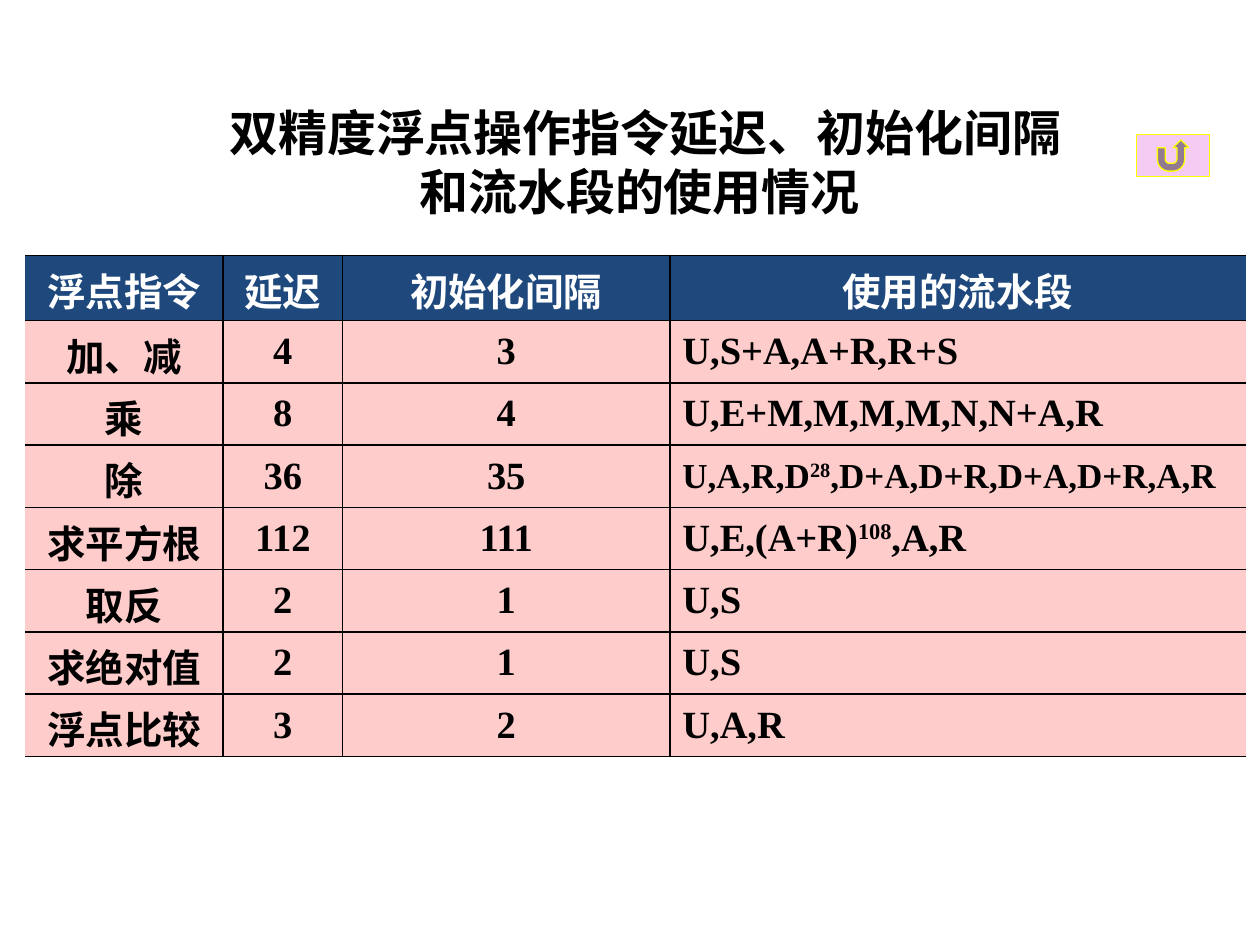
from lxml import etree
from pptx import Presentation
from pptx import util as u
from pptx.dml.color import RGBColor
from pptx.enum import shapes, text
from pptx.oxml import ns

COLORS = {"black": "000000", "white": "FFFFFF", "navy": "1F497D",
          "pink": "FFCCCC", "lilac": "F4CCF3", "yellow": "FFFF00"}
TITLE = " 双精度浮点操作指令延迟、初始化间隔和流水段的使用情况"
HEADINGS = ["浮点指令", "延迟", "初始化间隔", "使用的流水段"]
INSTRUCTIONS = [
    ("加、减", "4", "3", "U,S+A,A+R,R+S"),
    ("乘", "8", "4", "U,E+M,M,M,M,N,N+A,R"),
    ("除", "36", "35", "U,A,R,D^28^,D+A,D+R,D+A,D+R,A,R"),
    ("求平方根", "112", "111", "U,E,(A+R)^108^,A,R"),
    ("取反", "2", "1", "U,S"),
    ("求绝对值", "2", "1", "U,S"),
    ("浮点比较", "3", "2", "U,A,R"),
]
COLUMN_WIDTHS = [113, 68.4, 187, 329.2]
HEADER_HEIGHT, ROW_HEIGHT = 37.2, 35.6


def color(name):
    return RGBColor.from_string(COLORS[name])


def set_font(paragraph, name, size, color_name):
    font = paragraph.font
    font.name, font.size, font.bold = name, u.Pt(size), True
    font.color.rgb = color(color_name)


def add_title(slide):
    box = slide.shapes.add_textbox(u.Pt(110.2), u.Pt(54.7), u.Pt(510.5), u.Pt(74.2))
    frame = box.text_frame
    frame.word_wrap = True
    paragraph = frame.paragraphs[0]
    paragraph.add_run().text = TITLE
    paragraph.alignment = text.PP_ALIGN.CENTER
    paragraph.line_spacing = u.Pt(33.7)
    set_font(paragraph, "Noto Sans CJK SC", 28, "black")


def add_return_button(slide):
    button = slide.shapes.add_shape(shapes.MSO_SHAPE.ACTION_BUTTON_RETURN,
                                    u.Pt(649.4), u.Pt(77), u.Pt(41.8), u.Pt(23.8))
    button.shadow.inherit = False
    button.fill.solid()
    button.fill.fore_color.rgb = color("lilac")
    button.line.color.rgb = color("yellow")
    button.line.width = u.Pt(0.75)


def set_borders(cell, sides):
    properties = cell._tc.get_or_add_tcPr()
    for position, side in enumerate("LRTB"):
        line = etree.Element(ns.qn(f"a:ln{side}"), w=str(u.Pt(1)))
        if side in sides:
            fill = etree.SubElement(line, ns.qn("a:solidFill"))
            etree.SubElement(fill, ns.qn("a:srgbClr"), val=COLORS["black"])
        else:
            etree.SubElement(line, ns.qn("a:noFill"))
        properties.insert(position, line)


def fill_cell(cell, content, fill_name, font_color, size, alignment):
    cell.fill.solid()
    cell.fill.fore_color.rgb = color(fill_name)
    cell.vertical_anchor = text.MSO_ANCHOR.MIDDLE
    paragraph = cell.text_frame.paragraphs[0]
    paragraph.alignment = alignment
    paragraph.space_before = u.Pt(0.2 * size)
    set_font(paragraph, "Times New Roman", size, font_color)
    for index, part in enumerate(content.split("^")):
        run = paragraph.add_run()
        run.text = part
        if index % 2:
            run.font._element.set("baseline", "30000")


def add_instruction_table(slide):
    rows = [HEADINGS, *INSTRUCTIONS]
    heights = [HEADER_HEIGHT] + [ROW_HEIGHT] * len(INSTRUCTIONS)
    table = slide.shapes.add_table(len(rows), len(HEADINGS), u.Pt(14.4), u.Pt(146),
                                   u.Pt(sum(COLUMN_WIDTHS)), u.Pt(sum(heights))).table
    for column, width in zip(table.columns, COLUMN_WIDTHS):
        column.width = u.Pt(width)
    last = len(HEADINGS) - 1
    for row_index, (row, height) in enumerate(zip(rows, heights)):
        table.rows[row_index].height = u.Pt(height)
        fill_name, font_color = ("pink", "black") if row_index else ("navy", "white")
        for column_index, content in enumerate(row):
            cell = table.cell(row_index, column_index)
            stages = row_index > 0 and column_index == last
            alignment = text.PP_ALIGN.LEFT if stages else text.PP_ALIGN.CENTER
            size = 20 if len(content) > 25 else 22
            fill_cell(cell, content, fill_name, font_color, size, alignment)
            sides = "TB" + "L" * (column_index > 0) + "R" * (column_index < last)
            set_borders(cell, sides)


def main():
    presentation = Presentation()
    presentation.slide_width, presentation.slide_height = u.Pt(720), u.Pt(540)
    slide = presentation.slides.add_slide(presentation.slide_layouts[6])
    add_return_button(slide)
    add_title(slide)
    add_instruction_table(slide)
    presentation.save("out.pptx")


main()
